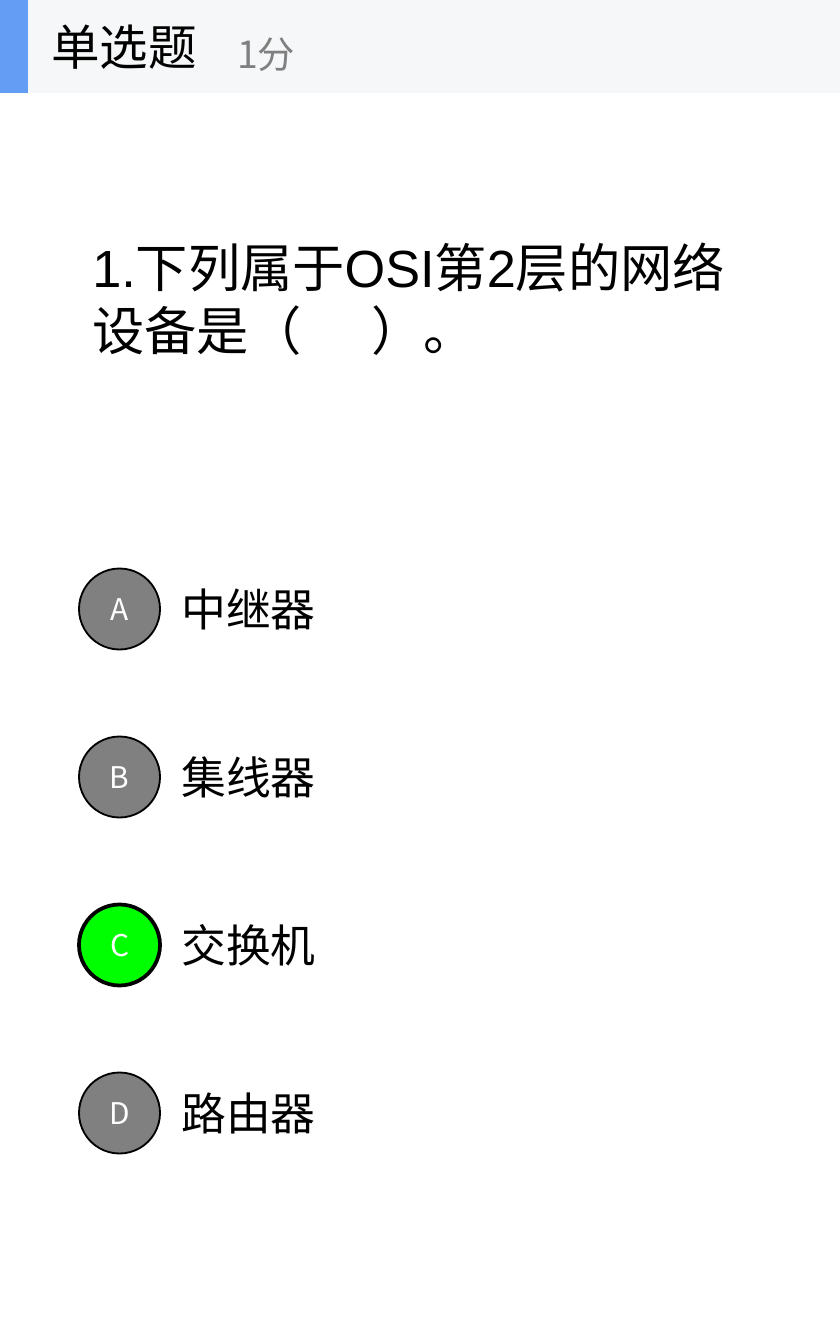
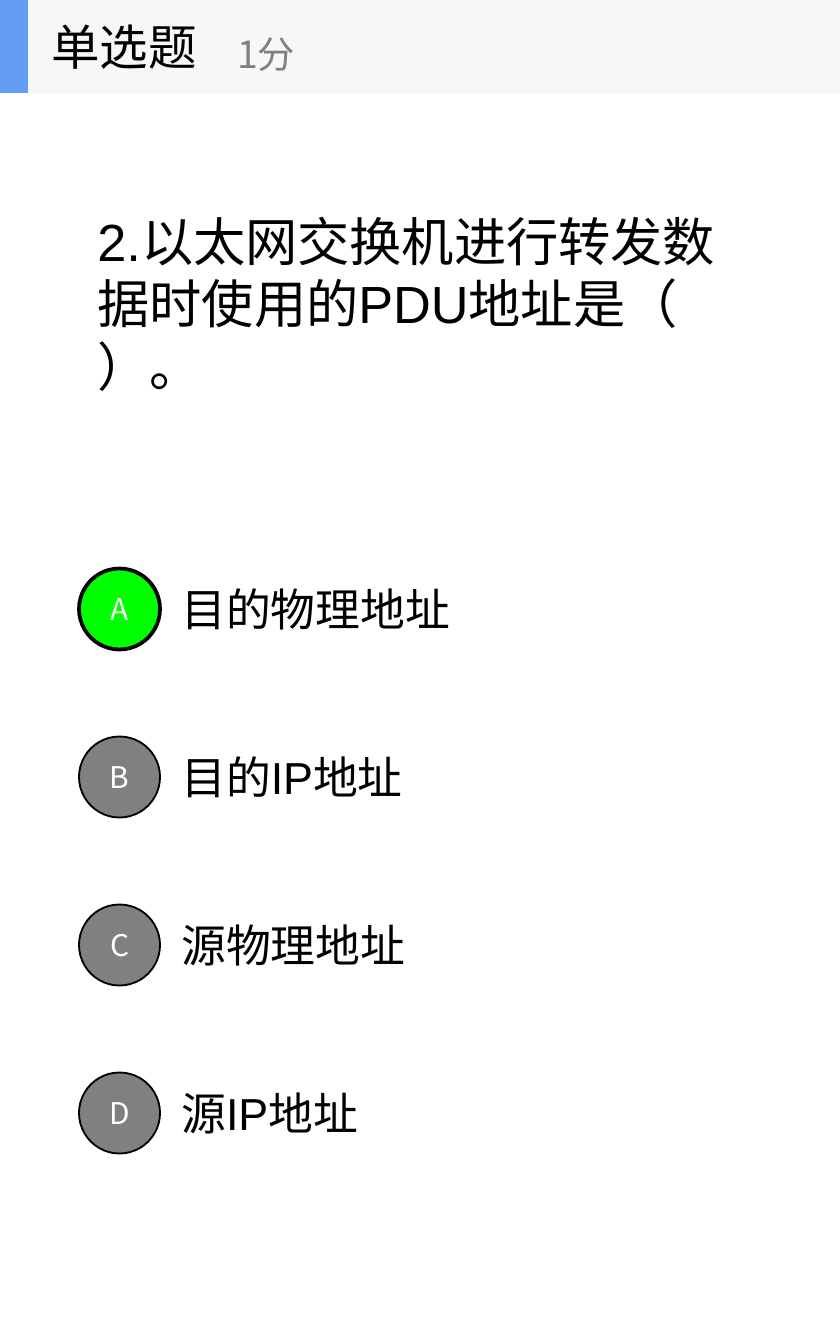
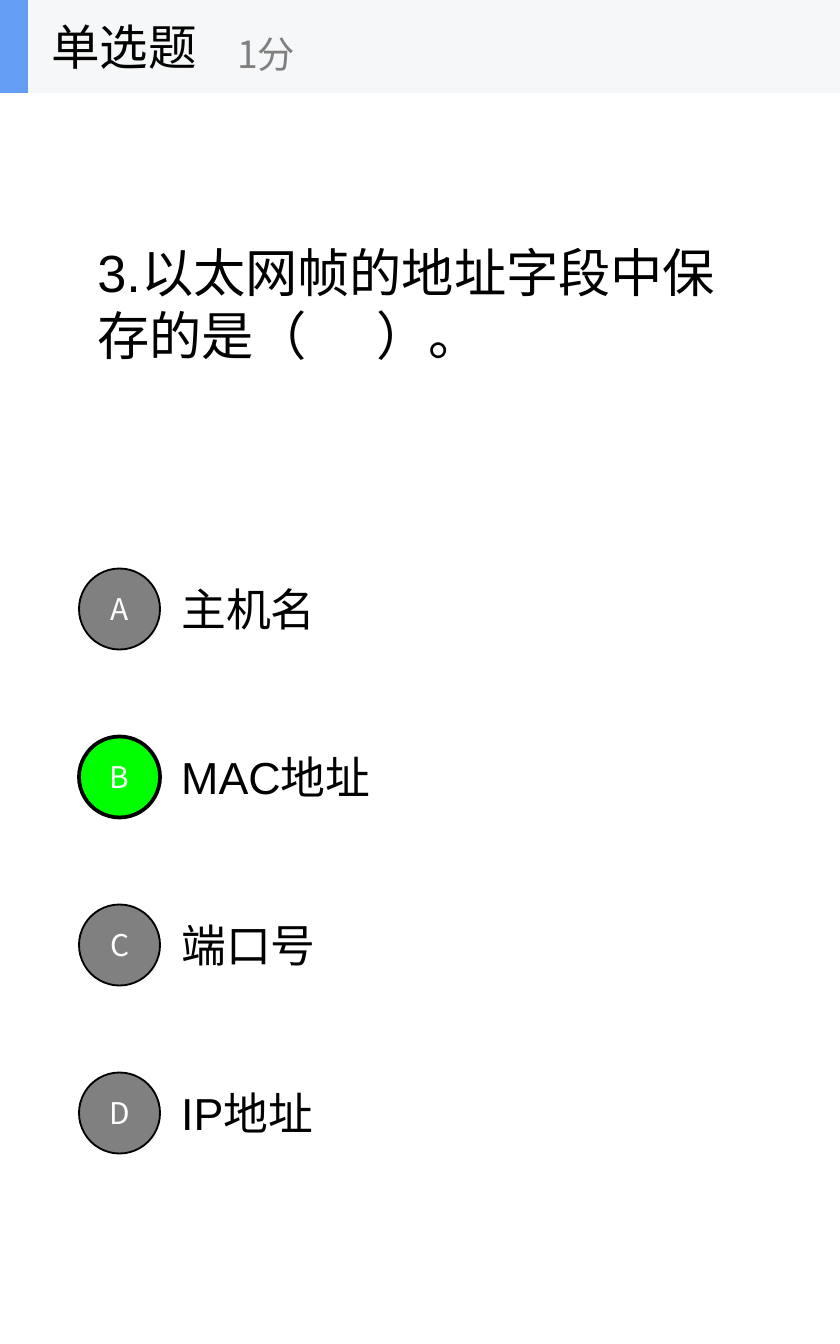
"""Build three single-choice quiz slides about link-layer networking."""
from dataclasses import dataclass

from lxml.etree import SubElement
from pptx import Presentation
from pptx.dml.color import RGBColor
from pptx.enum.shapes import MSO_SHAPE
from pptx.enum.text import MSO_ANCHOR, MSO_AUTO_SIZE, PP_ALIGN
from pptx.oxml.ns import qn
from pptx.util import Pt

KIND, POINTS = "单选题", "1分"
TALL = (84, 93, 672, 420)
QUESTIONS = [
    {"text": "1.下列属于OSI第2层的网络设备是（      ）。",
     "box": (79, 167, 672, 325), "bottom": 70,
     "options": ["中继器", "集线器", "交换机", "路由器"], "answer": "C"},
    {"text": "2.以太网交换机进行转发数据时使用的PDU地址是（      ）。",
     "box": TALL, "bottom": 7,
     "options": ["目的物理地址", "目的IP地址", "源物理地址", "源IP地址"], "answer": "A"},
    {"text": "3.以太网帧的地址字段中保存的是（      ）。",
     "box": TALL, "bottom": 7,
     "options": ["主机名", "MAC地址", "端口号", "IP地址"], "answer": "B"},
]


@dataclass(frozen=True)
class Theme:
    black: str = "000000"
    white: str = "FFFFFF"
    grey: str = "808080"
    right: str = "00FF00"
    band: str = "F6F7F8"
    accent: str = "639EF4"
    latin: str = "Arial"
    cjk: str = "Noto Sans CJK SC"
    question: int = 28
    option: int = 24
    letter: int = 16
    kind: int = 26
    points: int = 20


T = Theme()
WIDTH, HEIGHT, BAND = 840, 1344, 93
ROW_TOP, ROW_PITCH, ROW_HEIGHT = 546, 168, 126
CIRCLE_LEFT, CIRCLE = 79, 81
OPTION_LEFT, OPTION_WIDTH = 168, 588


def px(n):
    return round(n * 914400 / 134.4)


def emu(box):
    return [px(n) for n in box]


def write(sp, text, size, color, font, align=PP_ALIGN.LEFT):
    tf = sp.text_frame
    tf.word_wrap = True
    tf.auto_size = MSO_AUTO_SIZE.NONE
    tf.vertical_anchor = MSO_ANCHOR.MIDDLE
    p = tf.paragraphs[0]
    p.text = text
    p.alignment = align
    p.font.size = Pt(size)
    p.font.color.rgb = RGBColor.from_string(color)
    p.font.name = font
    SubElement(p._p.pPr.find(qn("a:defRPr")), qn("a:ea"), typeface=T.cjk)


def add_text(shapes, box, *style):
    write(shapes.add_textbox(*emu(box)), *style)


def add_filled(shapes, preset, box, color, line=0):
    sp = shapes.add_shape(preset, *emu(box))
    sp.shadow.inherit = False
    sp.fill.solid()
    sp.fill.fore_color.rgb = RGBColor.from_string(color)
    if line:
        sp.line.color.rgb = RGBColor.from_string(T.black)
        sp.line.width = Pt(line)
    else:
        sp.line.fill.background()
    return sp


def add_header(slide):
    shapes = slide.shapes.add_group_shape().shapes
    add_filled(shapes, MSO_SHAPE.RECTANGLE, (0, 0, WIDTH, BAND), T.band)
    add_filled(shapes, MSO_SHAPE.RECTANGLE, (0, 0, 28, BAND), T.accent)
    add_text(shapes, (38, 0, 280, BAND), KIND, T.kind, T.black, T.cjk)
    add_text(shapes, (224, 16, 336, 75), POINTS, T.points, T.grey, T.cjk)


def add_question(slide, question):
    title = slide.shapes.title
    title.left, title.top, title.width, title.height = emu(question["box"])
    write(title, question["text"], T.question, T.black, T.latin)
    title.text_frame.margin_bottom = px(question["bottom"])


def add_options(slide, options, answer):
    tops = [ROW_TOP + i * ROW_PITCH for i in range(len(options))]
    for top, option in zip(tops, options):
        add_text(slide.shapes, (OPTION_LEFT, top, OPTION_WIDTH, ROW_HEIGHT),
                 option, T.option, T.black, T.latin)
    for top, letter in zip(tops, "ABCD"):
        color, line = (T.right, 2) if letter == answer else (T.grey, 1)
        box = (CIRCLE_LEFT, top + (ROW_HEIGHT - CIRCLE) / 2, CIRCLE, CIRCLE)
        sp = add_filled(slide.shapes, MSO_SHAPE.OVAL, box, color, line)
        write(sp, letter, T.letter, T.white, T.cjk, PP_ALIGN.CENTER)


def main():
    prs = Presentation()
    prs.slide_width, prs.slide_height = px(WIDTH), px(HEIGHT)
    for question in QUESTIONS:
        slide = prs.slides.add_slide(prs.slide_layouts[5])
        add_question(slide, question)
        add_options(slide, question["options"], question["answer"])
        add_header(slide)
    prs.save("out.pptx")


if __name__ == "__main__":
    main()
